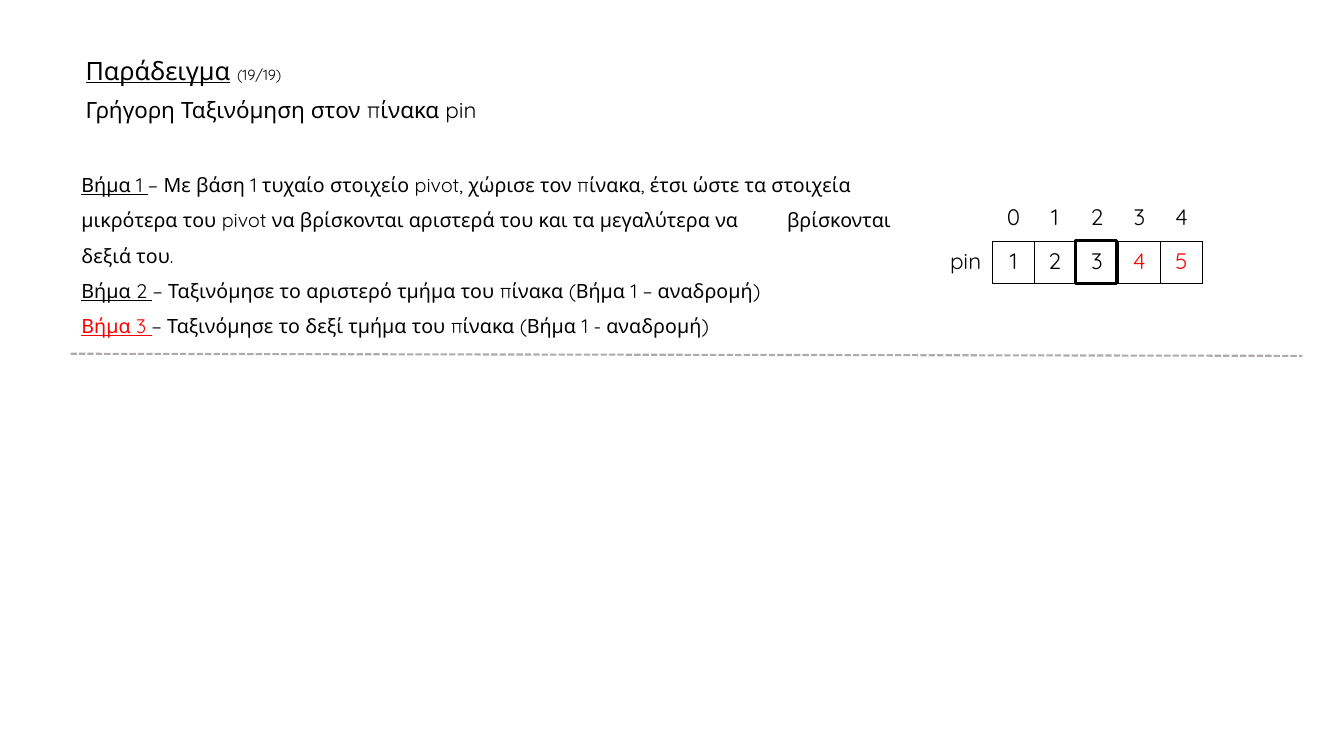
from lxml import etree
from pptx import Presentation
from pptx.dml.color import RGBColor
from pptx.enum.dml import MSO_LINE
from pptx.enum.shapes import MSO_CONNECTOR, MSO_SHAPE
from pptx.enum.text import MSO_ANCHOR, PP_ALIGN
from pptx.oxml.ns import qn
from pptx.util import Pt

STRAIGHT, RECTANGLE = MSO_CONNECTOR.STRAIGHT, MSO_SHAPE.RECTANGLE
TOP, MIDDLE, CENTER = MSO_ANCHOR.TOP, MSO_ANCHOR.MIDDLE, PP_ALIGN.CENTER
DASH = MSO_LINE.SQUARE_DOT
FONT, BLACK, RED, GREY = "Quicksand", "000000", "FF0000", "AFABAB"
NO_STYLE = "{2D5ABB26-0587-4C30-8999-92F81FD0307C}"

# Content: runs are (text, size, colour, underlined)
heading = [
    [("Παράδειγμα", 18, BLACK, True), (" ", 18, BLACK, False),
     ("(19/19)", 10.5, BLACK, False)],
    [("Γρήγορη Ταξινόμηση στον πίνακα pin", 16, BLACK, False)],
]
steps = [
    ("Βήμα 1 ", BLACK,
     "− Με βάση 1 τυχαίο στοιχείο pivot, χώρισε τον πίνακα, έτσι ώστε τα στοιχεία "
     "\tμικρότερα του pivot να βρίσκονται αριστερά του και τα μεγαλύτερα να "
     "\tβρίσκονται δεξιά του."),
    ("Βήμα 2 ", BLACK, "− Ταξινόμησε το αριστερό τμήμα του πίνακα (Βήμα 1 – αναδρομή)"),
    ("Βήμα 3 ", RED, "− Ταξινόμησε το δεξί τμήμα του πίνακα (Βήμα 1 - αναδρομή)"),
]
array_name, values, pivot = "pin", [1, 2, 3, 4, 5], 2

# Layout in points
array_left, array_top = 670.3, 141.8
column_widths = [38.9, 29.5, 29.5, 30.7, 30.1, 30.1]
row_heights = [31, 29.5]


def color(hex_code):
    return RGBColor.from_string(hex_code)


def add_run(paragraph, text, size, hex_code=BLACK, underlined=False):
    run = paragraph.add_run()
    run.text = text
    run.font.name, run.font.size = FONT, Pt(size)
    run.font.underline = underlined
    run.font.color.rgb = color(hex_code)


def add_text(box, paragraphs, spacing, before, anchor):
    frame = slide.shapes.add_textbox(*map(Pt, box)).text_frame
    frame.word_wrap = True
    frame.vertical_anchor = anchor
    for i, runs in enumerate(paragraphs):
        paragraph = frame.add_paragraph() if i else frame.paragraphs[0]
        paragraph.line_spacing = spacing
        paragraph.space_before = Pt(before)
        for run in runs:
            add_run(paragraph, *run)


def set_borders(cell, sides):
    properties = cell._tc.get_or_add_tcPr()
    for i, side in enumerate("LRTB"):
        line = etree.Element(qn("a:ln" + side), w=str(Pt(1)))
        if side in sides:
            fill = etree.SubElement(line, qn("a:solidFill"))
            etree.SubElement(fill, qn("a:srgbClr"), val=BLACK)
        else:
            etree.SubElement(line, qn("a:noFill"))
        properties.insert(i, line)


prs = Presentation()
prs.slide_width, prs.slide_height = Pt(960), Pt(540)
slide = prs.slides.add_slide(prs.slide_layouts[6])

# Heading
add_text((54, 37.4, 777, 55.4), heading, 0.9, 10, MIDDLE)

# Array with its indexes
table_frame = slide.shapes.add_table(
    2, len(column_widths), Pt(array_left), Pt(array_top),
    Pt(sum(column_widths)), Pt(sum(row_heights)))
array = table_frame.table
array.first_row = array.horz_banding = False
array._tbl.tblPr.find(qn("a:tableStyleId")).text = NO_STYLE
for column, width in zip(array.columns, column_widths):
    column.width = Pt(width)
for row, height in zip(array.rows, row_heights):
    row.height = Pt(height)

array_rows = [[""] + list(range(len(values))), [array_name] + values]
for r, entries in enumerate(array_rows):
    for c, entry in enumerate(entries):
        cell = array.cell(r, c)
        cell.fill.background()
        if r == 0:
            set_borders(cell, "B" if c else "")
        else:
            set_borders(cell, "LRTB" if c else "R")
        paragraph = cell.text_frame.paragraphs[0]
        paragraph.alignment = CENTER
        if entry != "":
            right_part = r == 1 and c - 1 > pivot
            add_run(paragraph, str(entry), 16, RED if right_part else BLACK)

# Steps
step_paragraphs = [[(label, 14, hex_code, True), (text, 14, BLACK, False)]
                   for label, hex_code, text in steps]
add_text((51.1, 111.6, 598.3, 131), step_paragraphs, 1.5, 0, TOP)

# Dashed divider
divider = slide.shapes.add_connector(STRAIGHT, Pt(50.4), Pt(252.7), Pt(930.2), Pt(254.2))
divider.line.color.rgb = color(GREY)
divider.line.width = Pt(1.5)
divider.line.dash_style = DASH
etree.SubElement(divider._element.spPr, qn("a:effectLst"))

# Frame around the pivot
pivot_frame = slide.shapes.add_shape(
    RECTANGLE, Pt(array_left + sum(column_widths[:pivot + 1])),
    Pt(array_top + row_heights[0] - 0.7), Pt(29.5), Pt(30.2))
pivot_frame.shadow.inherit = False
pivot_frame.fill.background()
pivot_frame.line.color.rgb = color(BLACK)
pivot_frame.line.width = Pt(2.25)

prs.save("out.pptx")
